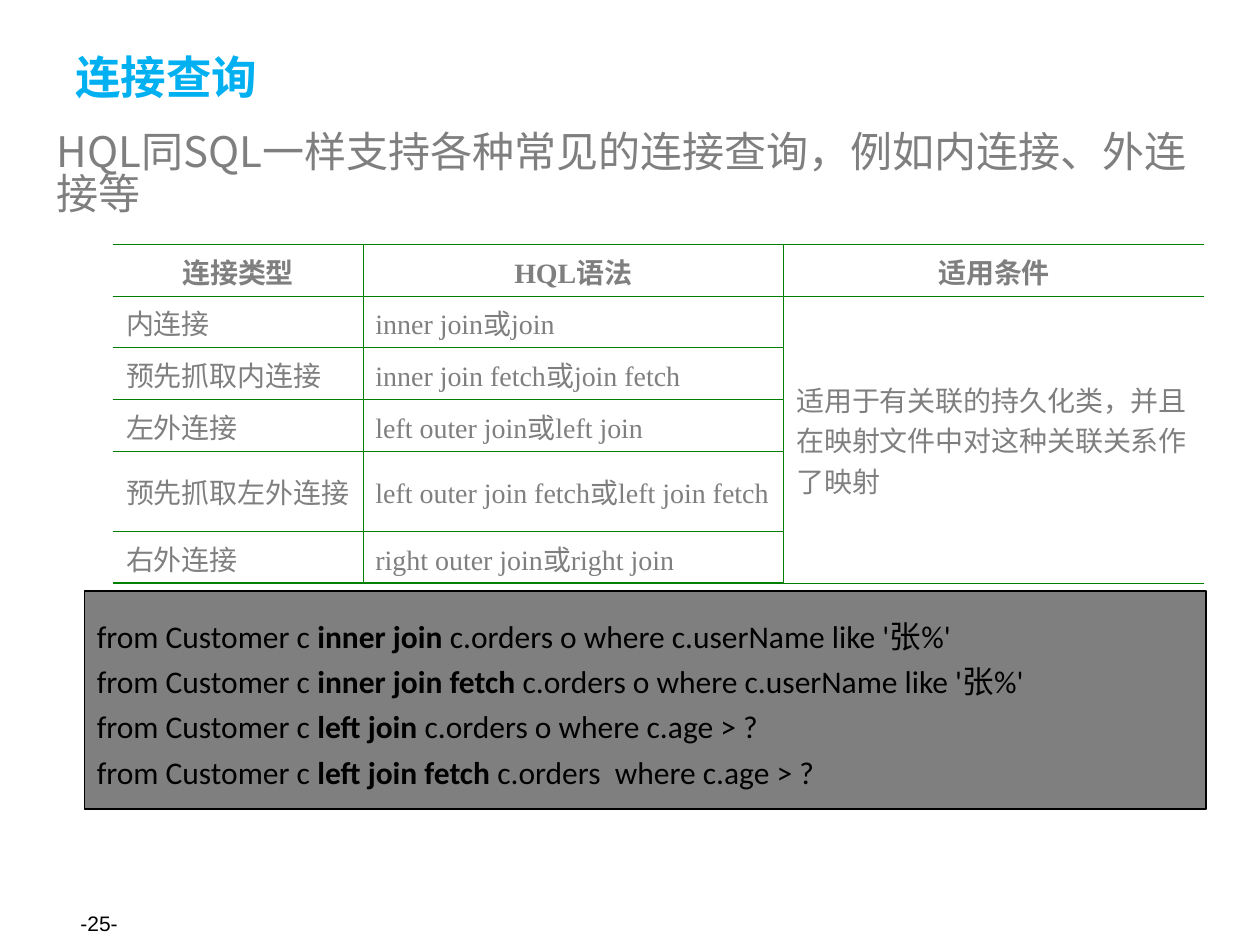
from lxml.etree import SubElement
from pptx import Presentation
from pptx.dml.color import RGBColor
from pptx.enum.shapes import MSO_SHAPE as Shape
from pptx.enum.text import MSO_ANCHOR as Anchor, PP_ALIGN as Align
from pptx.oxml.ns import qn
from pptx.util import Inches, Pt

BLACK = RGBColor(0x00, 0x00, 0x00)
GRAY = RGBColor(0x7F, 0x7F, 0x7F)
BLUE = RGBColor(0x00, 0xB0, 0xF0)
GREEN = RGBColor(0x00, 0x80, 0x00)
CJK_FONT = "Noto Sans CJK SC"

COLUMN_WIDTHS = [1.98, 3.34, 3.34]
ROW_HEIGHTS = [0.41, 0.41, 0.41, 0.41, 0.64, 0.41]
JOIN_ROWS = [
    ["连接类型", "HQL语法", "适用条件"],
    ["内连接", "inner join或join",
     "适用于有关联的持久化类，并且在映射文件中对这种关联关系作了映射"],
    ["预先抓取内连接", "inner join fetch或join fetch", ""],
    ["左外连接", "left outer join或left join", ""],
    ["预先抓取左外连接", "left outer join fetch或left join fetch", ""],
    ["右外连接", "right outer join或right join", ""],
]
QUERIES = [
    ("inner join", " c.orders o where c.userName like '张%'"),
    ("inner join fetch", " c.orders o where c.userName like '张%'"),
    ("left join", " c.orders o where c.age > ?"),
    ("left join fetch", " c.orders  where c.age > ?"),
]


def add_run(paragraph, text, size, font, color, bold=False):
    """Append one formatted run to a paragraph."""
    run = paragraph.add_run()
    run.text = text
    run.font.size = Pt(size)
    run.font.name = font
    run.font.bold = bold
    run.font.color.rgb = color
    SubElement(run.font._element, qn("a:ea")).set("typeface", CJK_FONT)


def add_text(slide, box, text, size, font, color, bold=False, anchor=Anchor.MIDDLE):
    """Add a wrapped text box with one run and return its frame."""
    frame = slide.shapes.add_textbox(*map(Inches, box)).text_frame
    frame.word_wrap = True
    frame.vertical_anchor = anchor
    add_run(frame.paragraphs[0], text, size, font, color, bold)
    return frame


def set_border(cell, side, width):
    """Draw one cell border in green, or hide it when the width is zero."""
    line = SubElement(cell._tc.get_or_add_tcPr(), qn(f"a:ln{side}"))
    line.set("w", str(Pt(width)))
    if width:
        fill = SubElement(line, qn("a:solidFill"))
        SubElement(fill, qn("a:srgbClr")).set("val", str(GREEN))
    else:
        SubElement(line, qn("a:noFill"))


def add_join_table(slide):
    """Add the table of join types with open left and right edges."""
    last_row, last_column = len(ROW_HEIGHTS) - 1, len(COLUMN_WIDTHS) - 1
    table = slide.shapes.add_table(
        last_row + 1, last_column + 1, Inches(0.9), Inches(1.94),
        Inches(sum(COLUMN_WIDTHS)), Inches(sum(ROW_HEIGHTS))).table
    table.first_row = table.horz_banding = False
    for column, width in zip(table.columns, COLUMN_WIDTHS):
        column.width = Inches(width)
    for row, height in zip(table.rows, ROW_HEIGHTS):
        row.height = Inches(height)
    table.cell(1, last_column).merge(table.cell(last_row, last_column))
    for row, texts in enumerate(JOIN_ROWS):
        for column, text in enumerate(texts):
            cell = table.cell(row, column)
            set_border(cell, "L", 0.45 if column else 0)
            set_border(cell, "R", 0.45 if column < last_column else 0)
            set_border(cell, "T", 0.45 if row else 1.08)
            set_border(cell, "B", 0.45 if row < last_row else 1.08)
            cell.fill.background()
            cell.vertical_anchor = Anchor.MIDDLE
            if text:
                paragraph = cell.text_frame.paragraphs[0]
                paragraph.alignment = Align.LEFT if row else Align.CENTER
                add_run(paragraph, text, 16, "Times New Roman", GRAY, row == 0)


def add_query_panel(slide):
    """Add the gray panel of example queries with bold join keywords."""
    panel = slide.shapes.add_shape(
        Shape.RECTANGLE, Inches(0.67), Inches(4.69), Inches(8.9), Inches(1.73))
    panel.shadow.inherit = False
    panel.fill.solid()
    panel.fill.fore_color.rgb = GRAY
    panel.line.color.rgb = BLACK
    panel.line.width = Pt(1)
    frame = panel.text_frame
    frame.word_wrap = False
    frame.vertical_anchor = Anchor.MIDDLE
    for index, (keyword, ending) in enumerate(QUERIES):
        paragraph = frame.add_paragraph() if index else frame.paragraphs[0]
        paragraph.alignment = Align.LEFT
        paragraph.line_spacing = 1.2
        add_run(paragraph, "from Customer c ", 18, "Calibri", BLACK)
        add_run(paragraph, keyword, 18, "Calibri", BLACK, True)
        add_run(paragraph, ending, 18, "Calibri", BLACK)


def main():
    """Build the slide on join queries and save it."""
    presentation = Presentation()
    presentation.slide_width = Inches(10)
    presentation.slide_height = Inches(7.5)
    slide = presentation.slides.add_slide(presentation.slide_layouts[6])
    add_text(slide, (0.54, 7.13, 2.33, 0.4), "-25-", 12, "Arial", BLACK)
    add_text(slide, (0.5, 0.3, 9, 0.61), "连接查询", 26, CJK_FONT, BLUE, True)
    body = add_text(
        slide, (0.35, 0.99, 9.29, 5.91),
        "HQL同SQL一样支持各种常见的连接查询，例如内连接、外连接等",
        24, CJK_FONT, GRAY, anchor=Anchor.TOP)
    body.margin_top = Inches(0.07)
    body.paragraphs[0].line_spacing = 0.84
    add_join_table(slide)
    add_query_panel(slide)
    presentation.save("out.pptx")


if __name__ == "__main__":
    main()
